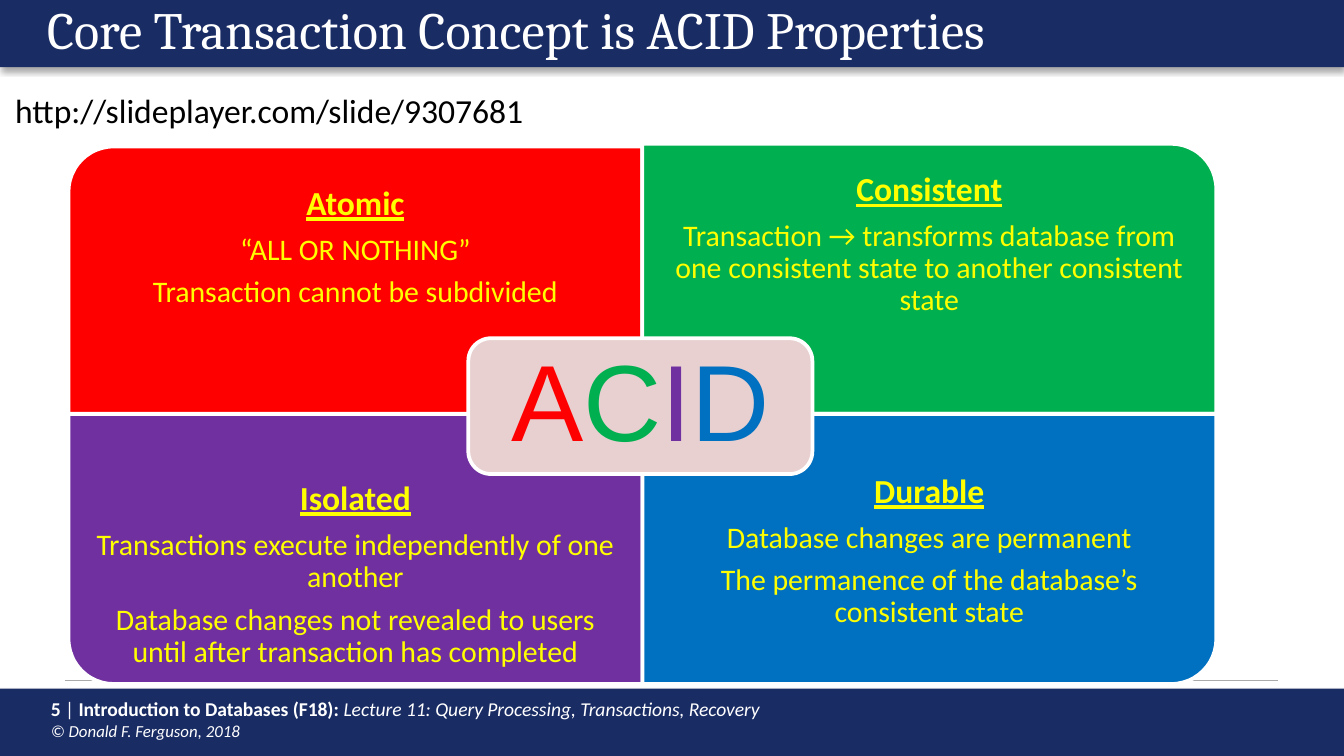
from dataclasses import dataclass
from lxml.etree import SubElement as Sub
from pptx import Presentation
from pptx.dml.color import RGBColor as RGB
from pptx.enum.shapes import MSO_CONNECTOR as CONN, MSO_SHAPE as SHAPE
from pptx.enum.text import MSO_ANCHOR as ANCHOR, MSO_AUTO_SIZE as AUTO, PP_ALIGN as ALIGN
from pptx.oxml.ns import qn
from pptx.util import Inches, Pt


@dataclass(frozen=True)
class Theme:
    navy: str = "1A2C64"
    rule: str = "AAAAAA"
    white: str = "FFFFFF"
    black: str = "000000"
    yellow: str = "FFFF00"
    badge: str = "E8D0D0"
    red: str = "FF0000"
    green: str = "00B050"
    purple: str = "7030A0"
    blue: str = "0070C0"
    body: str = "Calibri"
    title: str = "Cambria"
    display: str = "Arial"
    title_size: float = 28
    head_size: float = 18
    text_size: float = 16
    badge_size: float = 58
    footer_size: float = 10.5
    small_size: float = 9


class Deck:
    def __init__(self, theme):
        self.t = theme
        self.prs = Presentation()
        self.prs.slide_width = Inches(10)
        self.prs.slide_height = self.prs.slide_width * 9 // 16
        self.s = self.prs.slides.add_slide(self.prs.slide_layouts[5])

    def box(self, x, y, w, h):
        width, height = self.prs.slide_width, self.prs.slide_height
        return [round(v * side / 100) for v, side in zip((x, y, w, h), (width, height) * 2)]

    def run(self, p, text, size, color, name=None, **fmt):
        r = p.add_run()
        r.text = text
        for key, value in {"name": name or self.t.body, "size": Pt(size), **fmt}.items():
            setattr(r.font, key, value)
        r.font.color.rgb = RGB.from_string(color)

    def frame(self, tf, **fmt):
        for key, value in {"word_wrap": True, "auto_size": AUTO.NONE,
                           "vertical_anchor": ANCHOR.TOP, **fmt}.items():
            setattr(tf, key, value)
        return tf

    def text(self, area, **fmt):
        return self.frame(self.s.shapes.add_textbox(*self.box(*area)).text_frame, **fmt)

    def padded(self, area, pad, **fmt):
        sides = {f"margin_{side}": Inches(pad) for side in ("left", "top", "right", "bottom")}
        return self.text(area, **{**sides, "vertical_anchor": ANCHOR.MIDDLE, **fmt})

    def shape(self, kind, area, fill, line=None, turn=0):
        x, y, w, h = self.box(*area)
        if turn % 180:
            x, y, w, h = x + (w - h) // 2, y + (h - w) // 2, h, w
        sp = self.s.shapes.add_shape(kind, x, y, w, h)
        sp.rotation = turn
        sp.shadow.inherit = False
        sp.fill.solid()
        sp.fill.fore_color.rgb = RGB.from_string(fill)
        if line:
            sp.line.color.rgb = RGB.from_string(line)
            sp.line.width = Pt(2)
        else:
            sp.line.fill.background()
        return sp

    def bar(self, y, h):
        sp = self.shape(SHAPE.RECTANGLE, (0, y, 100, h), self.t.navy)
        effects = sp.element.spPr.find(qn("a:effectLst"))
        shadow = Sub(effects, qn("a:outerShdw"), blurRad=str(Pt(3.1)), dist=str(Pt(1.8)),
                     dir="5400000", rotWithShape="0")
        color = Sub(shadow, qn("a:srgbClr"), val=self.t.black)
        Sub(color, qn("a:alpha"), val="35000")

    def line(self, x1, x2, y):
        x1, y, x2, _ = self.box(x1, y, x2, 0)
        cx = self.s.shapes.add_connector(CONN.STRAIGHT, x1, y, x2, y)
        cx.line.color.rgb = RGB.from_string(self.t.rule)
        cx.line.width = Pt(0.75)
        Sub(cx.element.spPr, qn("a:effectLst"))

    def title(self, area, text):
        sp = self.s.shapes.title
        sp.left, sp.top, sp.width, sp.height = self.box(*area)
        p = self.frame(sp.text_frame).paragraphs[0]
        p.alignment, p.line_spacing = ALIGN.LEFT, 0.9
        self.run(p, text, self.t.title_size, self.t.white, self.t.title)
        self.s.shapes.element.append(sp.element)

    def quadrant(self, area, text_y, turn, fill, heading, lines, **fmt):
        self.shape(SHAPE.ROUND_1_RECTANGLE, area, fill, self.t.white, turn)
        x, _, w, h = area
        tf = self.padded((x, text_y, w, h * 0.75), 0.14, **fmt)
        for i, words in enumerate([heading, *lines]):
            p = tf.add_paragraph() if i else tf.paragraphs[0]
            size = self.t.text_size if i else self.t.head_size
            for key, value in {"alignment": ALIGN.CENTER, "line_spacing": 0.9,
                               "space_after": Pt(size * 0.35)}.items():
                setattr(p, key, value)
            self.run(p, words, size, self.t.yellow, bold=not i, underline=not i)

    def badge(self, area, letters):
        self.shape(SHAPE.ROUNDED_RECTANGLE, area, self.t.badge, self.t.white)
        p = self.padded(area, 0.24).paragraphs[0]
        p.alignment, p.line_spacing = ALIGN.CENTER, 0.9
        p.space_after = Pt(self.t.badge_size * 0.35)
        for letter, color in letters:
            self.run(p, letter, self.t.badge_size, color, self.t.display)

    def footer(self, area, parts, notice):
        p = self.text(area).paragraphs[0]
        for words, bold, italic in parts:
            self.run(p, words, self.t.footer_size, self.t.white, bold=bold, italic=italic)
        p.add_line_break()
        self.run(p, notice, self.t.small_size, self.t.white, italic=True)

    def label(self, area, text):
        tf = self.text(area, word_wrap=False)
        self.run(tf.paragraphs[0], text, self.t.head_size, self.t.black)


def main():
    t = Theme()
    d = Deck(t)
    d.bar(91.11, 8.89)
    d.footer((2.8, 91.38, 77.2, 7.64), [
        ("5 ", True, False), ("|", False, False),
        (" Introduction to Databases (F18): ", True, False),
        ("Lecture 11: Query Processing, Transactions, Recovery", False, True),
    ], "© Donald F. Ferguson, 2018")
    d.bar(0, 8.89)
    d.line(4.8, 95.1, 90)
    d.title((2.5, -0.36, 90.6, 7.47), "Core Transaction Concept is ACID Properties")

    left, top, w, h = 5.1, 19.02, 42.7, 35.73
    right, low = left + w, top + h
    low_text = low + h / 4
    d.quadrant((left, top + 0.36, w, h), top + 0.36, 270, t.red, "Atomic",
               ["“ALL OR NOTHING”", "Transaction cannot be subdivided"])
    d.quadrant((right, top, w, h), top, 0, t.green, "Consistent",
               ["Transaction → transforms database from one consistent state "
                "to another consistent state"])
    d.quadrant((left, low, w, h), low_text, 180, t.purple, "Isolated",
               ["Transactions execute independently of one another",
                "Database changes not revealed to users until after transaction has completed"],
               margin_top=0, vertical_anchor=ANCHOR.TOP)
    d.quadrant((right, low, w, h), low_text, 90, t.blue, "Durable",
               ["Database changes are permanent",
                "The permanence of the database’s consistent state"],
               margin_top=0, margin_bottom=Inches(0.46))
    d.badge((34.85, 44.75, 25.6, 17.96),
            zip("ACID", (t.red, t.green, t.purple, t.blue)))
    d.label((0.15, 11.02, 40.3, 7.11), "http://slideplayer.com/slide/9307681")
    d.prs.save("out.pptx")


if __name__ == "__main__":
    main()
